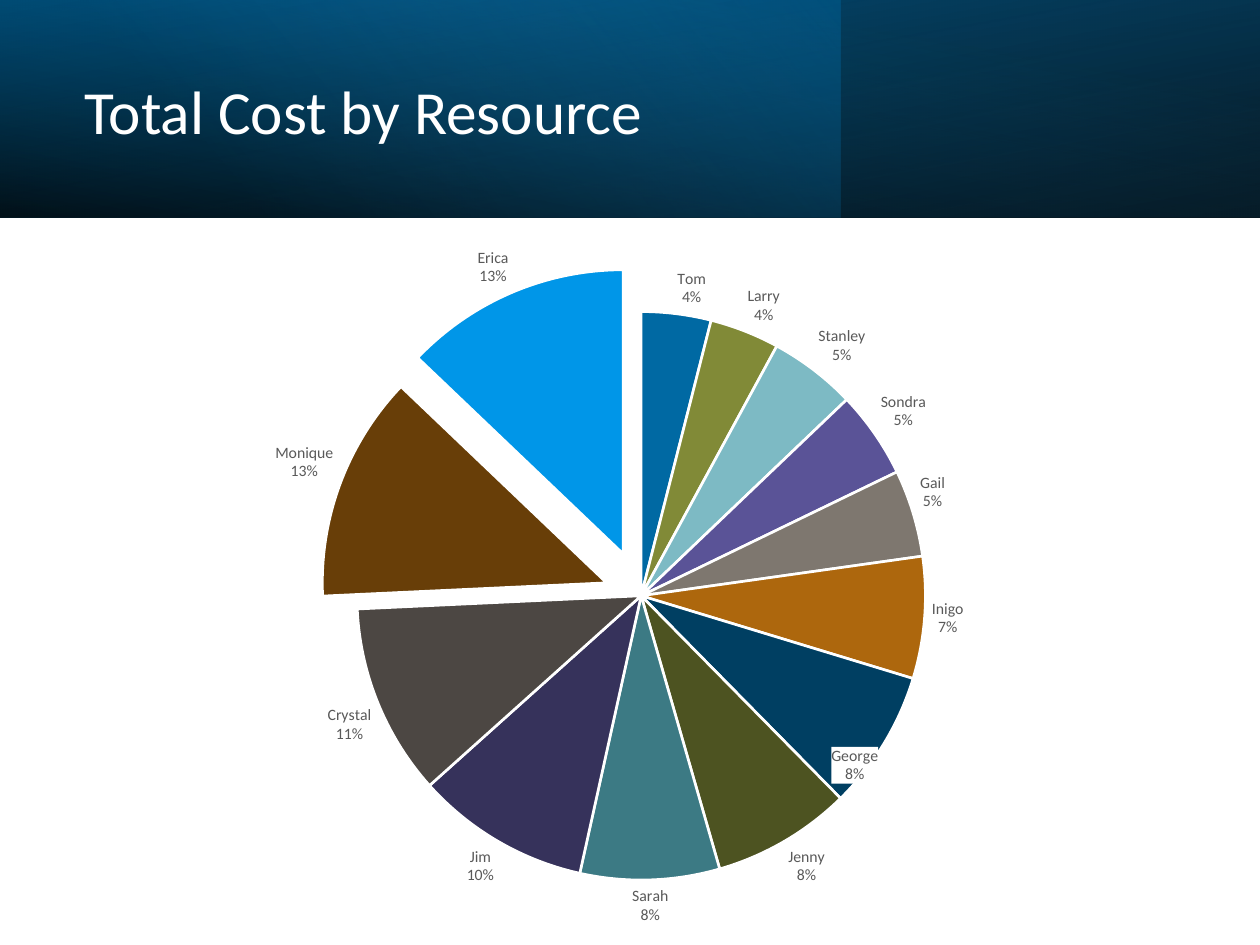
from dataclasses import dataclass

from lxml.etree import SubElement
from pptx import Presentation
from pptx.chart.data import CategoryChartData
from pptx.dml.color import RGBColor
from pptx.enum.chart import XL_CHART_TYPE, XL_LABEL_POSITION
from pptx.enum.shapes import MSO_SHAPE
from pptx.enum.text import MSO_ANCHOR, PP_ALIGN
from pptx.oxml import parse_xml
from pptx.oxml.ns import nsdecls, qn
from pptx.util import Inches, Pt


@dataclass(frozen=True)
class Theme:
    font: str = "Calibri"
    white: str = "FFFFFF"
    label: str = "595959"
    title_size: float = 35
    label_size: float = 9
    chart_size: float = 10


THEME = Theme()
WIDTH, HEIGHT = Inches(10), Inches(7.5)
BAND_HEIGHT = 0.23

BANDS = [
    (1, 100, {"rotation": 180}, True, [(0, "000000", 96), (100, "004F7A", 100)]),
    (0.667, 140, {}, False, [(0, "0069A3", 41), (74, "2FB5FF", 0)]),
    (1, 260, {}, True, [(0, "000000", 63), (78, "0069A3", 15)]),
]

RESOURCES = [
    ("Tom", 4, "0069A3"), ("Larry", 4, "818A37"), ("Stanley", 5, "7DBAC4"),
    ("Sondra", 5, "5A5397"), ("Gail", 5, "7E776F"), ("Inigo", 7, "AD670D"),
    ("George", 8, "003F62"), ("Jenny", 8, "4D5321"), ("Sarah", 8, "3C7A84"),
    ("Jim", 10, "36325B"), ("Crystal", 11, "4C4743"), ("Monique", 13, "683E08"),
    ("Erica", 13, "0096E8"),
]
EXPLOSIONS = {"Monique": 13, "Erica": 16}
MOVED_LABEL = ("George", -0.05, 0)
PLOT_AREA = {"x": 0.27, "y": 0.163, "w": 0.479, "h": 0.786}


def apply(target, values):
    for name, value in values.items():
        setattr(target, name, value)


def box(left, top, width, height):
    return {"left": int(WIDTH * left), "top": int(HEIGHT * top),
            "width": int(WIDTH * width), "height": int(HEIGHT * height)}


def style_font(font, size, color):
    apply(font, {"name": THEME.font, "size": Pt(size)})
    font.color.rgb = RGBColor.from_string(color)


def add_band(slide, width, angle, values, flipped, stops):
    shape = slide.shapes.add_shape(
        MSO_SHAPE.RECTANGLE, **box(0, 0, width, BAND_HEIGHT))
    apply(shape, values)
    shape.shadow.inherit = False
    shape.line.fill.background()
    shape.fill.gradient()
    properties = shape._element.spPr
    if flipped:
        properties.find(qn("a:xfrm")).set("flipH", "1")
    stop_xml = "".join(
        f'<a:gs pos="{position * 1000}"><a:srgbClr val="{color}">'
        f'<a:alpha val="{alpha * 1000}"/></a:srgbClr></a:gs>'
        for position, color, alpha in stops)
    gradient = parse_xml(
        f'<a:gradFill {nsdecls("a")} rotWithShape="1"><a:gsLst>{stop_xml}</a:gsLst>'
        f'<a:lin ang="{angle * 60000}" scaled="0"/></a:gradFill>')
    properties.replace(properties.find(qn("a:gradFill")), gradient)


def place_title(slide, text):
    title = slide.shapes.title
    slide.shapes._spTree.append(title._element)
    apply(title, box(0.057, 0.036, 0.579, 0.17))
    frame = title.text_frame
    apply(frame, {"text": text, "word_wrap": True,
                  "vertical_anchor": MSO_ANCHOR.MIDDLE})
    paragraph = frame.paragraphs[0]
    apply(paragraph, {"alignment": PP_ALIGN.LEFT, "line_spacing": 0.9})
    style_font(paragraph.runs[0].font, THEME.title_size, THEME.white)


def set_plot_layout(chart):
    plot_area = chart._chartSpace.chart.plotArea
    for existing in plot_area.findall(qn("c:layout")):
        plot_area.remove(existing)
    layout = parse_xml(f'<c:layout {nsdecls("c")}><c:manualLayout/></c:layout>')
    settings = {"layoutTarget": "inner", "xMode": "edge", "yMode": "edge", **PLOT_AREA}
    for name, value in settings.items():
        SubElement(layout[0], qn(f"c:{name}")).set("val", str(value))
    plot_area.insert(0, layout)


def style_slices(series):
    for index, (name, _, color) in enumerate(RESOURCES):
        point = series.points[index]
        point.format.fill.solid()
        point.format.fill.fore_color.rgb = RGBColor.from_string(color)
        point.format.line.width = Pt(1.5)
        point.format.line.color.rgb = RGBColor.from_string(THEME.white)
        if name in EXPLOSIONS:
            properties = point.format.fill._xPr
            properties.addprevious(parse_xml(
                f'<c:explosion {nsdecls("c")} val="{EXPLOSIONS[name]}"/>'))


def moved_label_xml(name, x, y):
    index = [resource[0] for resource in RESOURCES].index(name)
    return parse_xml(
        f'<c:dLbl {nsdecls("c", "a")}><c:idx val="{index}"/>'
        f'<c:layout><c:manualLayout><c:x val="{x}"/><c:y val="{y}"/>'
        '</c:manualLayout></c:layout>'
        f'<c:spPr><a:solidFill><a:srgbClr val="{THEME.white}"/></a:solidFill></c:spPr>'
        '<c:txPr><a:bodyPr/><a:p><a:pPr>'
        f'<a:defRPr sz="{THEME.label_size * 100}"><a:solidFill>'
        f'<a:srgbClr val="{THEME.label}"/></a:solidFill>'
        f'<a:latin typeface="{THEME.font}"/></a:defRPr></a:pPr></a:p></c:txPr>'
        '<c:dLblPos val="outEnd"/><c:showLegendKey val="0"/><c:showVal val="0"/>'
        '<c:showCatName val="1"/><c:showSerName val="0"/><c:showPercent val="1"/>'
        '<c:showBubbleSize val="0"/><c:separator>\n</c:separator></c:dLbl>')


def style_labels(series):
    labels = series.data_labels
    apply(labels, {"show_value": False, "show_category_name": True,
                   "show_percentage": True, "number_format": "0%",
                   "number_format_is_linked": False,
                   "position": XL_LABEL_POSITION.OUTSIDE_END})
    style_font(labels.font, THEME.label_size, THEME.label)
    element = labels._element
    anchor = element.find(qn("c:showBubbleSize"))
    if anchor is None:
        anchor = element.find(qn("c:showPercent"))
    anchor.addnext(parse_xml(f'<c:separator {nsdecls("c")}>\n</c:separator>'))
    element.insert(0, moved_label_xml(*MOVED_LABEL))


def add_cost_pie(slide):
    data = CategoryChartData()
    data.categories = [name for name, _, _ in RESOURCES]
    data.add_series("Series 1", [cost for _, cost, _ in RESOURCES])
    area = box(0.029, 0.024, 0.942, 1.091)
    chart = slide.shapes.add_chart(
        XL_CHART_TYPE.PIE, area["left"], area["top"],
        area["width"], area["height"], data).chart
    apply(chart, {"has_title": False, "has_legend": False})
    style_font(chart.font, THEME.chart_size, "000000")
    series = chart.plots[0].series[0]
    set_plot_layout(chart)
    style_slices(series)
    style_labels(series)


def main():
    presentation = Presentation()
    apply(presentation, {"slide_width": WIDTH, "slide_height": HEIGHT})
    slide = presentation.slides.add_slide(presentation.slide_layouts[5])
    for band in BANDS:
        add_band(slide, *band)
    place_title(slide, "Total Cost by Resource")
    add_cost_pie(slide)
    presentation.save("out.pptx")


main()
